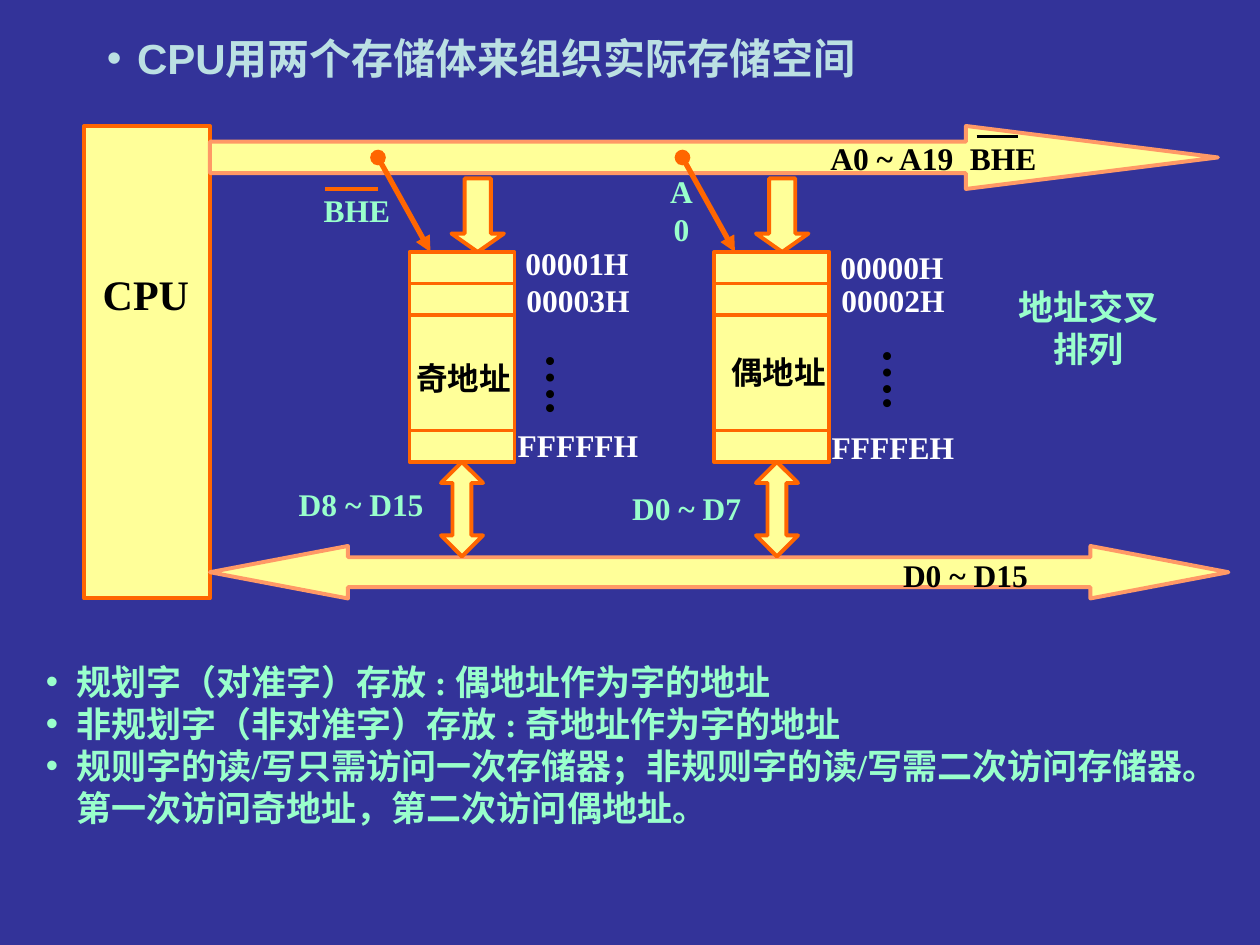
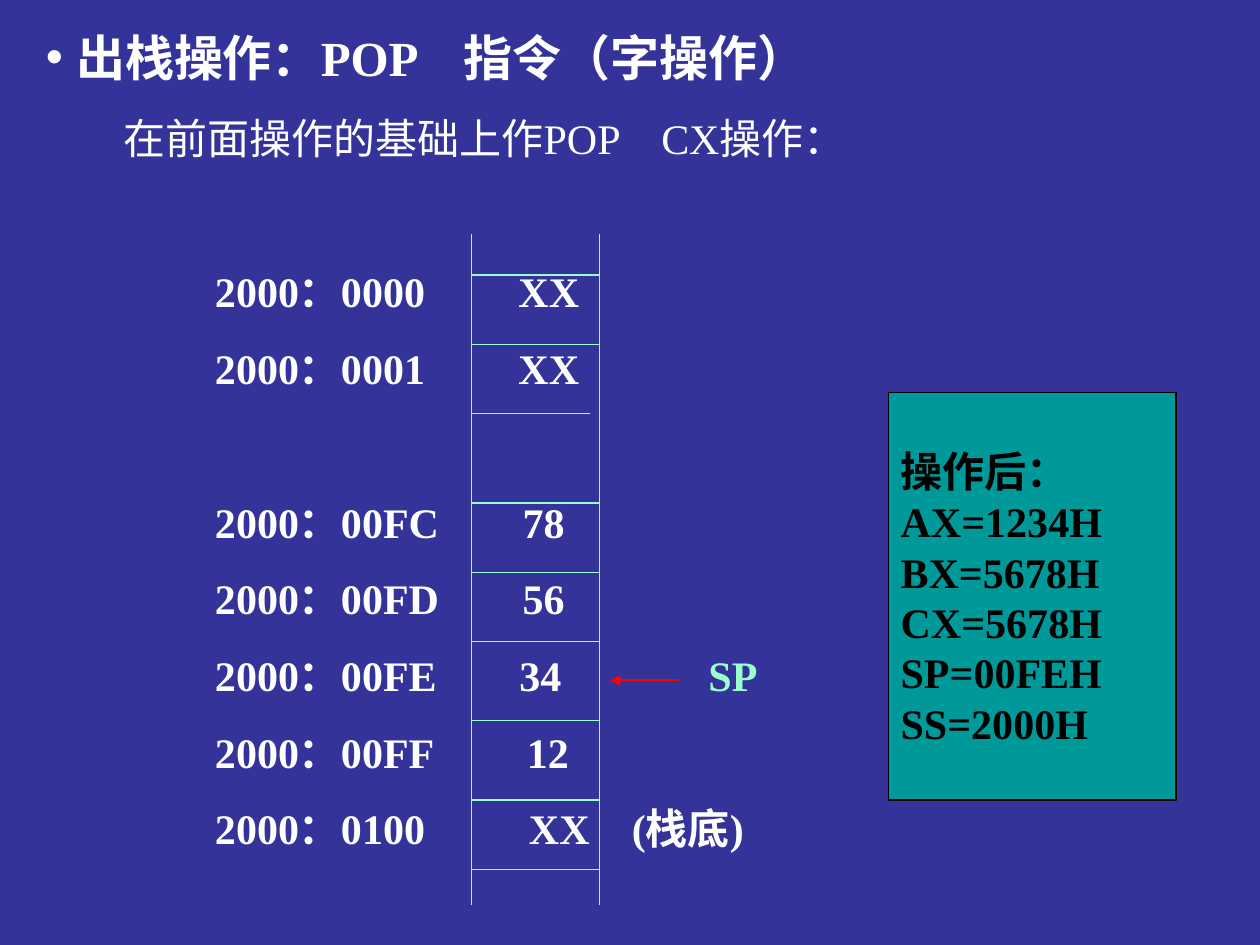
from dataclasses import dataclass

from lxml.etree import SubElement
from pptx import Presentation
from pptx.dml.color import RGBColor
from pptx.enum.shapes import MSO_CONNECTOR, MSO_SHAPE
from pptx.enum.text import MSO_ANCHOR, PP_ALIGN
from pptx.oxml.ns import qn
from pptx.util import Inches, Pt


@dataclass(frozen=True)
class Theme:
    back: str = "333399"
    title: str = "BBE0E3"
    white: str = "FFFFFF"
    black: str = "000000"
    mint: str = "99FFCC"
    cream: str = "FFFF99"
    orange: str = "FF6600"
    peach: str = "FF9966"
    teal: str = "009999"
    red: str = "FF0000"
    serif: str = "Times New Roman"
    sans: str = "Arial"
    small: int = 18
    body: int = 20
    large: int = 24
    head: int = 28
    dots: int = 28


def grid(units):
    """Turn grid units, twelve to the inch, into a length."""
    return Inches(units / 12)


class Deck:
    def __init__(self, theme):
        self.theme = theme
        self.file = Presentation()
        self.file.slide_width = grid(120)
        self.file.slide_height = grid(90)
        self.slide = None

    def page(self):
        self.slide = self.file.slides.add_slide(self.file.slide_layouts[6])
        fill = self.slide.background.fill
        fill.solid()
        fill.fore_color.rgb = RGBColor.from_string(self.theme.back)

    def shape(self, kind, x, y, w, h, fill=None, line=None, width=2.25, adj=()):
        item = self.slide.shapes.add_shape(kind, *map(grid, (x, y, w, h)))
        item.shadow.inherit = False
        item.fill.solid()
        item.fill.fore_color.rgb = RGBColor.from_string(fill or self.theme.cream)
        item.line.color.rgb = RGBColor.from_string(line or self.theme.orange)
        item.line.width = Pt(width)
        for i, value in enumerate(adj):
            item.adjustments[i] = value
        return item

    def line(self, x1, y1, x2, y2, color, width=2.25, head=None, tail=None):
        item = self.slide.shapes.add_connector(
            MSO_CONNECTOR.STRAIGHT, *map(grid, (x1, y1, x2, y2)))
        item.line.color.rgb = RGBColor.from_string(color)
        item.line.width = Pt(width)
        stroke = item.line._get_or_add_ln()
        for tag, end in (("a:headEnd", head), ("a:tailEnd", tail)):
            if end:
                SubElement(stroke, qn(tag), type=end)
        SubElement(item._element.spPr, qn("a:effectLst"))

    def frame(self, x, y, w, h, anchor=MSO_ANCHOR.MIDDLE, wrap=True):
        box = self.slide.shapes.add_textbox(*map(grid, (x, y, w, h))).text_frame
        box.word_wrap = wrap
        box.vertical_anchor = anchor
        return box

    def para(self, box, text, size, color, bold=True, font=None,
             align=PP_ALIGN.LEFT, bullet=False, tabs=(), before=0):
        """Add a paragraph, taking the empty first one of a new frame."""
        fresh = len(box.paragraphs) == 1 and not box.paragraphs[0].runs
        item = box.paragraphs[0] if fresh else box.add_paragraph()
        item.alignment = align
        if before:
            item.space_before = Pt(before)
        props = item._p.get_or_add_pPr()
        if bullet:
            props.set("marL", str(Inches(0.24)))
            props.set("indent", str(-Inches(0.24)))
            SubElement(props, qn("a:buFont"), typeface=self.theme.sans)
            SubElement(props, qn("a:buChar"), char="•")
        if tabs:
            stops = SubElement(props, qn("a:tabLst"))
            for stop in tabs:
                SubElement(stops, qn("a:tab"), pos=str(grid(stop)), algn="l")
        item.font.name = font or self.theme.serif
        item.font.size = Pt(size)
        item.font.bold = bold
        item.font.color.rgb = RGBColor.from_string(color)
        item.add_run().text = text
        return item

    def label(self, text, x, y, w, color, h=4.8, size=None):
        """Place centred text that never wraps, one paragraph a line."""
        box = self.frame(x, y, w, h, wrap=False)
        for part in text.split("\n"):
            self.para(box, part, size or self.theme.small, color,
                      align=PP_ALIGN.CENTER)
        return box

    def dots(self, x, y):
        box = self.label("….", x, y, 7.9, self.theme.black, 7.1, self.theme.dots)
        box.margin_left = box.margin_right = Inches(0.05)
        box.margin_top = box.margin_bottom = Inches(0.1)
        box._txBody.bodyPr.set("vert", "eaVert")

    def bank(self, x, w, data, down):
        """Draw one memory bank with its select line and bus arrows."""
        color = self.theme.orange
        self.shape(MSO_SHAPE.RECTANGLE, x, 24, w, 20)
        self.shape(MSO_SHAPE.UP_DOWN_ARROW, data, 44, 4, 9, adj=(0.5, 0.45))
        self.shape(MSO_SHAPE.DOWN_ARROW, down, 17, 5, 7, adj=(0.5, 0.35))
        self.line(x - 3, 15, x + 2, 24, color, 3, "oval", "triangle")
        for y in (27, 30, 41):
            self.line(x, y, x + w, y, color)


def banks(deck):
    look = deck.theme
    deck.page()
    deck.para(deck.frame(9, 0, 102, 11), "CPU用两个存储体来组织实际存储空间",
              look.large, look.title, font=look.sans, bullet=True)

    deck.shape(MSO_SHAPE.RECTANGLE, 8, 12, 12, 45)
    deck.shape(MSO_SHAPE.RIGHT_ARROW, 20, 12, 96, 6, line=look.peach, adj=(0.5, 4))
    deck.shape(MSO_SHAPE.LEFT_RIGHT_ARROW, 20, 52, 97, 5, line=look.peach,
               adj=(0.57, 2.63))
    deck.bank(39, 10, data=42, down=43)
    deck.bank(68, 11, data=72, down=72)

    for text, x, y, w, color in (
        ("奇地址", 37.3, 33.6, 13.7, look.black),
        ("偶地址", 67.3, 33, 13.7, look.black),
        ("00001H", 46.9, 22.6, 16.1, look.white),
        ("00003H", 47, 26.2, 16.1, look.white),
        ("FFFFFH", 47, 40, 16.1, look.white),
        ("00000H", 76.9, 23, 16.1, look.white),
        ("00002H", 77, 26.2, 16.1, look.white),
        ("FFFFEH", 77, 40.2, 16.1, look.white),
        ("BHE", 29.6, 17.6, 8.8, look.mint),
        ("A0", 61.9, 17.6, 6, look.mint),
        ("D8 ~ D15", 24.8, 45.6, 19.2, look.mint),
        ("D0 ~ D7", 55.8, 46, 19.2, look.mint),
        ("D0 ~ D15", 84.8, 52.4, 14.3, look.black),
    ):
        deck.label(text, x, y, w, color)
    deck.label("CPU", 6.8, 25, 14.2, look.black, 6, look.large)
    deck.label("地址交叉\n排列", 92.2, 26.6, 22.9, look.mint, 9.2, look.body)
    deck.dots(50, 32.5)
    deck.dots(82.1, 32)

    deck.para(deck.frame(77.9, 12.6, 24, 4.8), "A0 ~ A19\tBHE", look.small,
              look.black, tabs=(13.3,))
    deck.line(31, 18, 36, 18, look.orange)
    deck.line(93, 13, 97, 13, look.black)

    notes = deck.frame(3.2, 62.3, 111.5, 17.3)
    for text in (
        "规划字（对准字）存放 : 偶地址作为字的地址",
        "非规划字（非对准字）存放 : 奇地址作为字的地址",
        "规则字的读/写只需访问一次存储器；非规则字的读/写需二次访问存储器。"
        "第一次访问奇地址，第二次访问偶地址。",
    ):
        deck.para(notes, text, look.body, look.mint, bullet=True)


def stack(deck):
    look = deck.theme
    deck.page()
    box = deck.frame(3.2, 2, 109.7, 85, MSO_ANCHOR.TOP)
    deck.para(box, "出栈操作：POP\t指令（字操作）", look.head, look.white,
              bullet=True, tabs=(39.8,))
    deck.para(box, "\t在前面操作的基础上作POP\tCX操作：", look.large, look.white,
              bold=False, tabs=(7.4, 58.6), before=15)

    step, skip = 15, 59
    for cell, value, stop, before in (
        ("0000", "XX", 45, skip),
        ("0001", "XX", 45, step),
        ("00FC", "78", 45.4, skip),
        ("00FD", "56", 45.4, step),
        ("00FE", "34", 45.1, step),
        ("00FF", "12", 45.8, step),
        ("0100", "XX", 46, step),
    ):
        row = deck.para(box, f"\t2000：{cell}\t{value}", look.large, look.white,
                        tabs=(16.1, stop, 55.8, 63.1), before=before)
        if cell == "00FE":
            mark = row.add_run()
            mark.text = "\t\tSP"
            mark.font.color.rgb = RGBColor.from_string(look.mint)
        elif cell == "0100":
            row.add_run().text = "\t(栈底)"

    left, right = 44.9, 57.1
    for x in (left, right):
        deck.line(x, 22.3, x, 86.2, look.mint, 0.75)
    for y in (26.2, 32.8, 39.4, 47.9, 54.5, 61.1, 68.6, 76.2, 82.8):
        end = 56.2 if y == 39.4 else right
        deck.line(left, y, end, y, look.mint, 0.75)
    deck.line(64.7, 64.8, 58.1, 64.8, look.red, 1, tail="triangle")

    panel = deck.shape(MSO_SHAPE.RECTANGLE, 84.6, 37.4, 27.4, 38.8,
                       look.teal, look.black, 0.75).text_frame
    for text in ("操作后：", "AX=1234H", "BX=5678H", "CX=5678H", "SP=00FEH",
                 "SS=2000H"):
        deck.para(panel, text, look.large, look.black)


def main():
    deck = Deck(Theme())
    banks(deck)
    stack(deck)
    deck.file.save("out.pptx")


if __name__ == "__main__":
    main()
